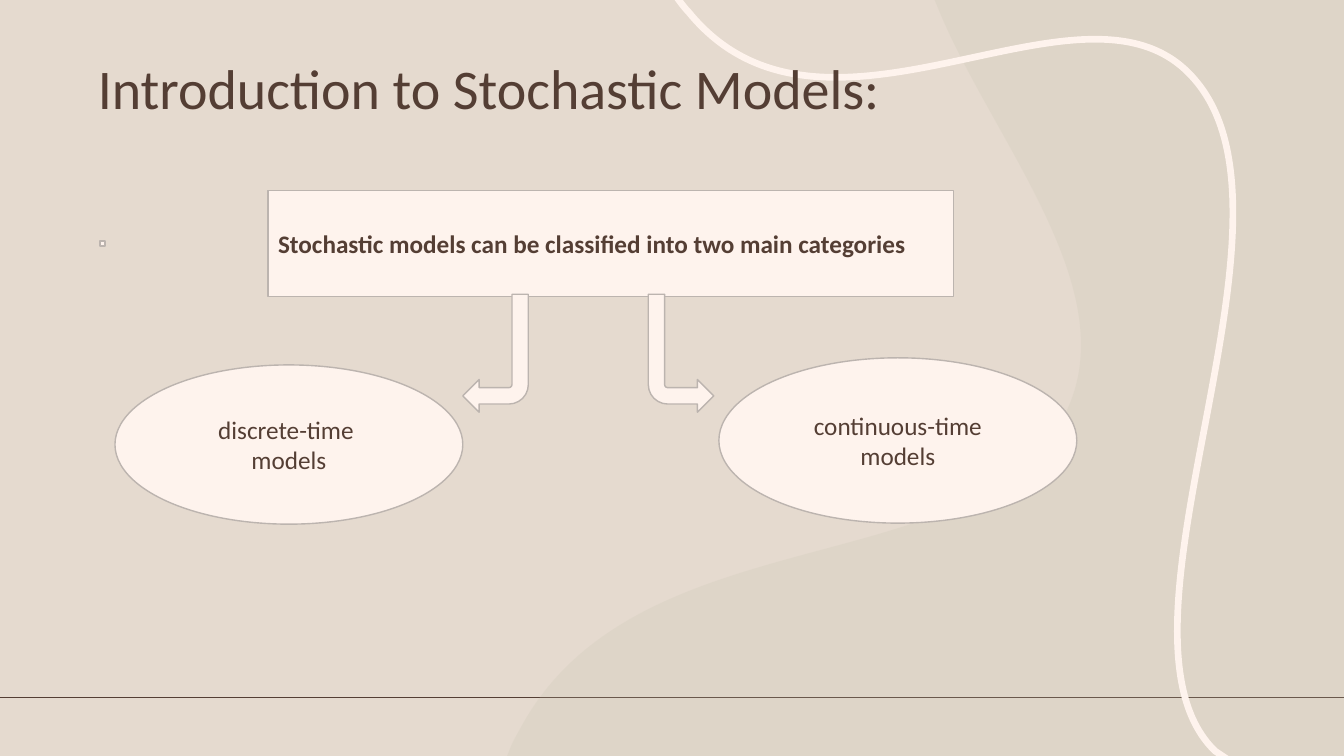
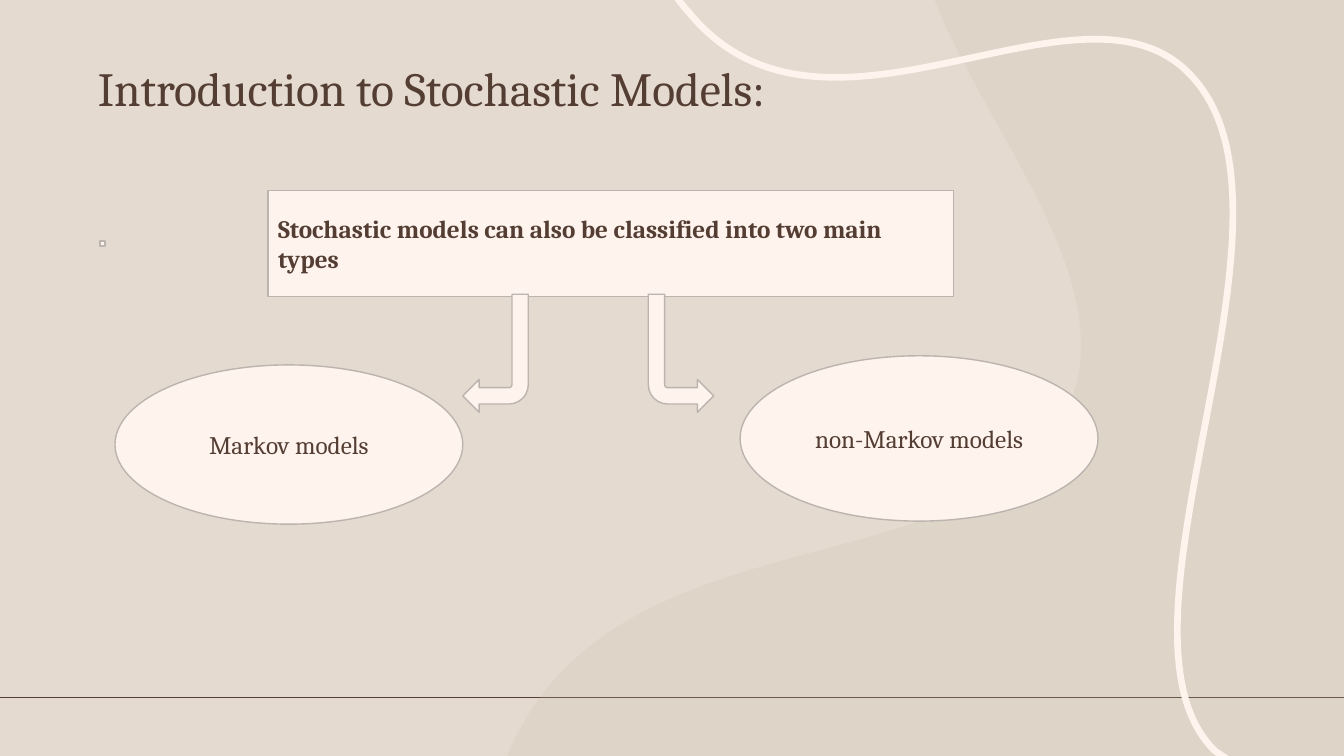
from pptx import Presentation
from pptx.dml.color import RGBColor
from pptx.enum.shapes import MSO_CONNECTOR as Link, MSO_SHAPE as Kind
from pptx.enum.text import MSO_ANCHOR as Anchor, MSO_AUTO_SIZE as Fit, PP_ALIGN as Align
from pptx.oxml.ns import qn
from pptx.util import Inches, Pt
from lxml import etree

SAND = RGBColor(0xE5, 0xDA, 0xCF)
BROWN = RGBColor(0x54, 0x3E, 0x34)
CREAM = RGBColor(0xFE, 0xF3, 0xED)
GREY = RGBColor(0xBC, 0xB4, 0xAF)
OLIVE = RGBColor(0xC6, 0xC4, 0xAF)
WIDE, HIGH = 13.33, 7.5
WAVE = [(9.27, 0), (13.33, 0), (13.33, 7.5), (5.03, 7.5), (5.07, 7.4),
        (5.11, 7.31, 5.15, 7.25, 5.17, 7.21),
        (6.31, 5.12, 9.62, 5.78, 10.52, 4.19),
        (11.23, 2.96, 9.88, 1.46, 9.32, 0.12)]
CURL = [(12.17, 7.53), (12.14, 7.51), (12.05, 7.45),
        (10.84, 6.27, 13.07, 2.2, 11.85, 0.79),
        (10.78, -0.47, 8.2, 1.8, 6.83, 0.12),
        (6.8, 0.09, 6.76, 0.04, 6.71, -0.03)]
SLIDES = [
    dict(font="Calibri", size=40,
         head="Stochastic models can be classified into two main categories",
         left=["discrete-time ", "models"], right=["continuous-time models"],
         spot=(6.14, 1.66)),
    dict(font="Cambria", size=34,
         head="Stochastic models can also be classified into two main types",
         left=["Markov models"], right=["non-Markov models"],
         spot=(6.35, 1.64)),
]


def outline(slide, path, box, close):
    """Draw a path of lines and cubic curves that fills a box."""
    x, y, wide, high = map(Inches, box)
    ends = [(Inches(part[-2]), Inches(part[-1])) for part in path]
    pen = slide.shapes.build_freeform(*ends[0])
    pen.add_line_segments(ends[1:], close=close)
    shape = pen.convert_to_shape()
    shape.shadow.inherit = False
    shape.left, shape.top, shape.width, shape.height = x, y, wide, high
    track = shape.element.spPr.find(".//" + qn("a:path"))
    track.set("w", str(wide))
    track.set("h", str(high))
    for part, step in zip(path[1:], track.findall(qn("a:lnTo"))):
        if len(part) == 6:
            step.tag = qn("a:cubicBezTo")
            curve = etree.Element(qn("a:cubicBezTo"))
            for px, py in zip(part[::2], part[1::2]):
                etree.SubElement(curve, qn("a:pt"), x=str(Inches(px) - x),
                                 y=str(Inches(py) - y))
            track.replace(step, curve)
    return shape


def decor(slide, layout):
    """Place the shared background, rule and waves on the layout."""
    fill = layout.background.fill
    fill.solid()
    fill.fore_color.rgb = SAND
    rule = slide.shapes.add_connector(
        Link.STRAIGHT, 0, Inches(6.92), Inches(WIDE), Inches(6.92))
    rule.line.color.rgb = BROWN
    rule.line.width = Pt(1.25)
    etree.SubElement(rule.element.spPr, qn("a:effectLst"))
    wave = outline(slide, WAVE, (5.03, 0, 8.3, HIGH), True)
    wave.fill.solid()
    wave.fill.fore_color.rgb = OLIVE
    wave.line.fill.background()
    tint = wave.element.spPr.find(".//" + qn("a:srgbClr"))
    etree.SubElement(tint, qn("a:alpha"), val="20000")
    curl = outline(slide, CURL, (6.71, -0.03, 5.52, 7.56), False)
    curl.fill.background()
    curl.line.color.rgb = CREAM
    curl.line.width = Pt(4.75)
    for num, shape in enumerate((rule, wave, curl), 20):
        shape.element.xpath(".//p:cNvPr")[0].set("id", str(num))
        layout.shapes.element.append(shape.element)


def write(para, text, font, size, bold=False):
    """Add one brown run to a paragraph."""
    run = para.add_run()
    run.text = text
    run.font.name = font
    run.font.size = Pt(size)
    run.font.bold = bold
    run.font.color.rgb = BROWN


def title(slide, box, font, size):
    """Fill and place the title."""
    shape = slide.shapes.title
    shape.left, shape.top, shape.width, shape.height = map(Inches, box)
    frame = shape.text_frame
    frame.auto_size = Fit.NONE
    frame.vertical_anchor = Anchor.MIDDLE
    para = frame.paragraphs[0]
    para.alignment = Align.LEFT
    para.line_spacing = 0.9
    write(para, "Introduction to Stochastic Models:", font, size)


def block(slide, kind, box):
    """Add a cream shape with a grey edge."""
    shape = slide.shapes.add_shape(kind, *map(Inches, box))
    shape.shadow.inherit = False
    shape.fill.solid()
    shape.fill.fore_color.rgb = CREAM
    shape.line.color.rgb = GREY
    shape.line.width = Pt(1)
    return shape


def label(shape, lines, font, align, bold=False):
    """Write lines of text in the middle of a shape."""
    frame = shape.text_frame
    frame.word_wrap = True
    frame.vertical_anchor = Anchor.MIDDLE
    for num, text in enumerate(lines):
        para = frame.add_paragraph() if num else frame.paragraphs[0]
        para.alignment = align
        write(para, text, font, 18, bold)


def arrow(slide, box, flips):
    """Add a bent arrow that turns from down to one side."""
    shape = block(slide, Kind.BENT_ARROW, box)
    for num, part in enumerate((0.25, 0.25, 0.25, 0.296)):
        shape.adjustments[num] = part
    frame = shape.element.spPr.find(qn("a:xfrm"))
    for flip in flips:
        frame.set(flip, "1")


def split(slide, x, y, font, head, left, right, spot):
    """Draw a heading that splits into two ovals, from a corner."""
    dx, dy = spot
    oval = block(slide, Kind.OVAL, (x + dx, y + dy, 3.55, 1.64))
    label(oval, right, font, Align.CENTER)
    oval = block(slide, Kind.OVAL, (x + 0.15, y + 1.73, 3.45, 1.58))
    label(oval, left, font, Align.CENTER)
    block(slide, Kind.RECTANGLE, (x, y + 0.5, 0.05, 0.05))
    bar = block(slide, Kind.RECTANGLE, (x + 1.67, y, 6.8, 1.05))
    label(bar, [head], font, Align.LEFT, True)
    arrow(slide, (x + 5.44, y + 1.03, 0.65, 1.17), ["flipV"])
    arrow(slide, (x + 3.6, y + 1.03, 0.65, 1.17), ["flipH", "flipV"])


def main():
    """Build and save the slides."""
    deck = Presentation()
    deck.slide_width, deck.slide_height = Inches(WIDE), Inches(HIGH)
    layout = deck.slide_layouts[5]
    for num, data in enumerate(SLIDES):
        slide = deck.slides.add_slide(layout)
        if num == 0:
            decor(slide, layout)
        title(slide, (0.87, 0.53, 11, 0.75), data["font"], data["size"])
        split(slide, 0.99, 1.89, data["font"], data["head"],
              data["left"], data["right"], data["spot"])
    deck.save("out.pptx")


main()
